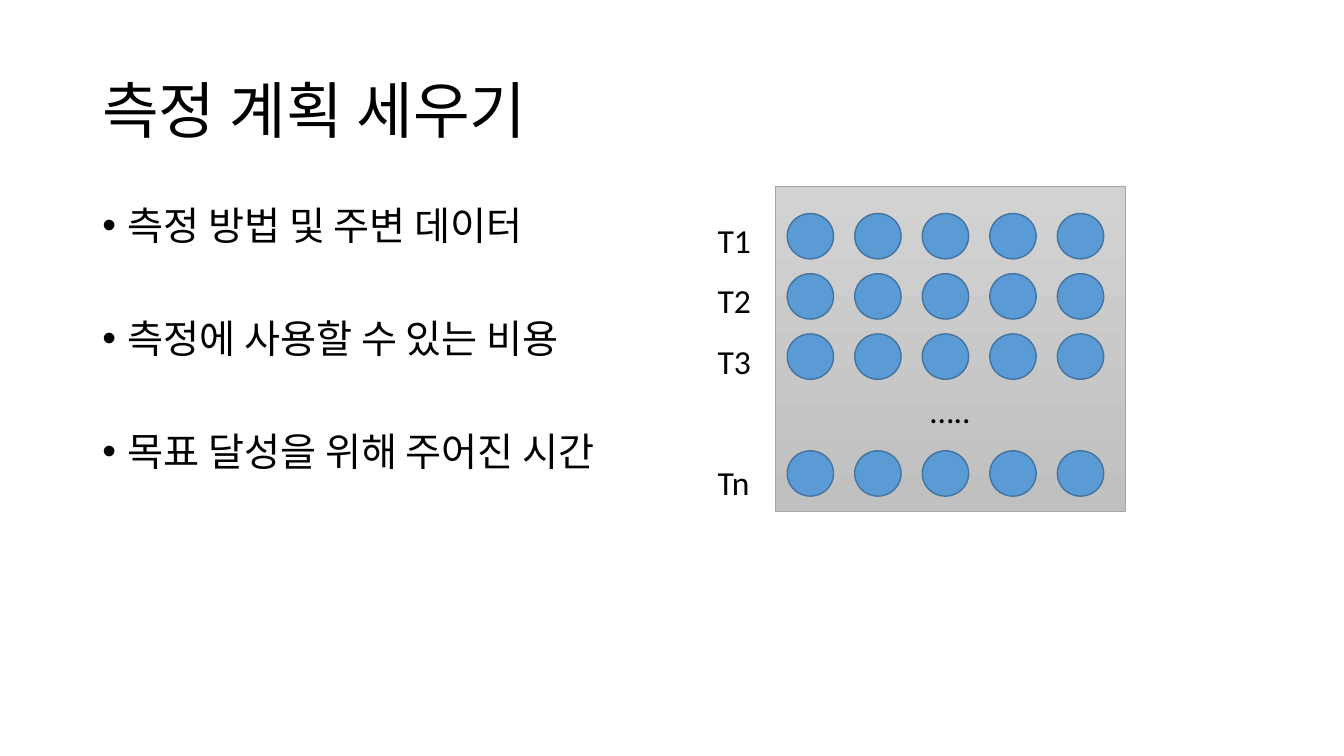
from pptx import Presentation
from pptx.dml.color import RGBColor
from pptx.enum import shapes as sh, text as tx
from pptx.oxml.ns import qn
from pptx.util import Pt
from lxml import etree

# Content
TITLE = "측정 계획 세우기"
POINTS = ["측정 방법 및 주변 데이터", "측정에 사용할 수 있는 비용", "목표 달성을 위해 주어진 시간"]
TIMES = ["T1", "T2", "T3", "Tn"]
DOTS = "…‥".replace("‥", "..")
FONT = "Calibri"
HUES = {"text": "000000", "top": "D2D2D2", "low": "C0C0C0", "edge": "A5A5A5",
        "dot": "5B9BD5", "rim": "43739E"}

# Layout in points
TOPS = [152.5 + 43 * i for i in range(3)] + [322]
LEFT, STEP, COLS = 562.3, 48.25, 5

deck = Presentation()
deck.slide_width, deck.slide_height = Pt(960), Pt(540)
slide = deck.slides.add_slide(deck.slide_layouts[6])


def hue(name):
    return RGBColor.from_string(HUES[name])


def write(frame, lines, size, space=1.0, gaps=None):
    frame.text = "\n".join(lines)
    for i, para in enumerate(frame.paragraphs):
        para.line_spacing = space
        para.space_before = Pt(gaps[i] if gaps else 0)
        font = para.runs[0].font
        font.name, font.size, font.color.rgb = FONT, Pt(size), hue("text")


def box(*spot, wrap=True):
    frame = slide.shapes.add_textbox(*map(Pt, spot)).text_frame
    frame.word_wrap = wrap
    return frame


def shape(kind, spot, line, width):
    item = slide.shapes.add_shape(kind, *map(Pt, spot))
    item.shadow.inherit = False
    item.line.color.rgb, item.line.width = hue(line), Pt(width)
    return item


# Grey panel, with the dots set below its middle
panel = shape(sh.MSO_SHAPE.RECTANGLE, (553.7, 133.2, 250.5, 232), "edge", 0.5)
panel.fill.gradient()
panel.fill.gradient_angle = 270
for stop, name in zip(panel.fill.gradient_stops, ("top", "low")):
    stop.color.rgb = hue(name)
frame = panel.text_frame
frame.margin_top = Pt(91)
frame.vertical_anchor = tx.MSO_ANCHOR.MIDDLE
write(frame, [DOTS], 24)
frame.paragraphs[0].alignment = tx.PP_ALIGN.CENTER

# Title
frame = box(66, 28.75, 828, 104.4)
frame.vertical_anchor = tx.MSO_ANCHOR.MIDDLE
write(frame, [TITLE], 44, 0.9)

# Bullet list
frame = box(66, 143.75, 828, 342.6)
write(frame, POINTS, 28, 0.9, [10, 50.5, 50.5])
for para in frame.paragraphs:
    props = para._p.get_or_add_pPr()
    props.set("marL", str(Pt(18)))
    props.set("indent", str(-Pt(18)))
    etree.SubElement(props, qn("a:buFont")).set("typeface", "Arial")
    etree.SubElement(props, qn("a:buChar")).set("char", "•")

# Grid of samples
for top in TOPS:
    for col in range(COLS):
        dot = shape(sh.MSO_SHAPE.OVAL, (LEFT + STEP * col, top, 33.1, 32.4), "rim", 1)
        dot.fill.solid()
        dot.fill.fore_color.rgb = hue("dot")

# Row labels
write(box(505.5, 139, 39, 225.4, wrap=False), TIMES, 24, 1.5, [0, 0, 0, 43.5])

deck.save("out.pptx")
